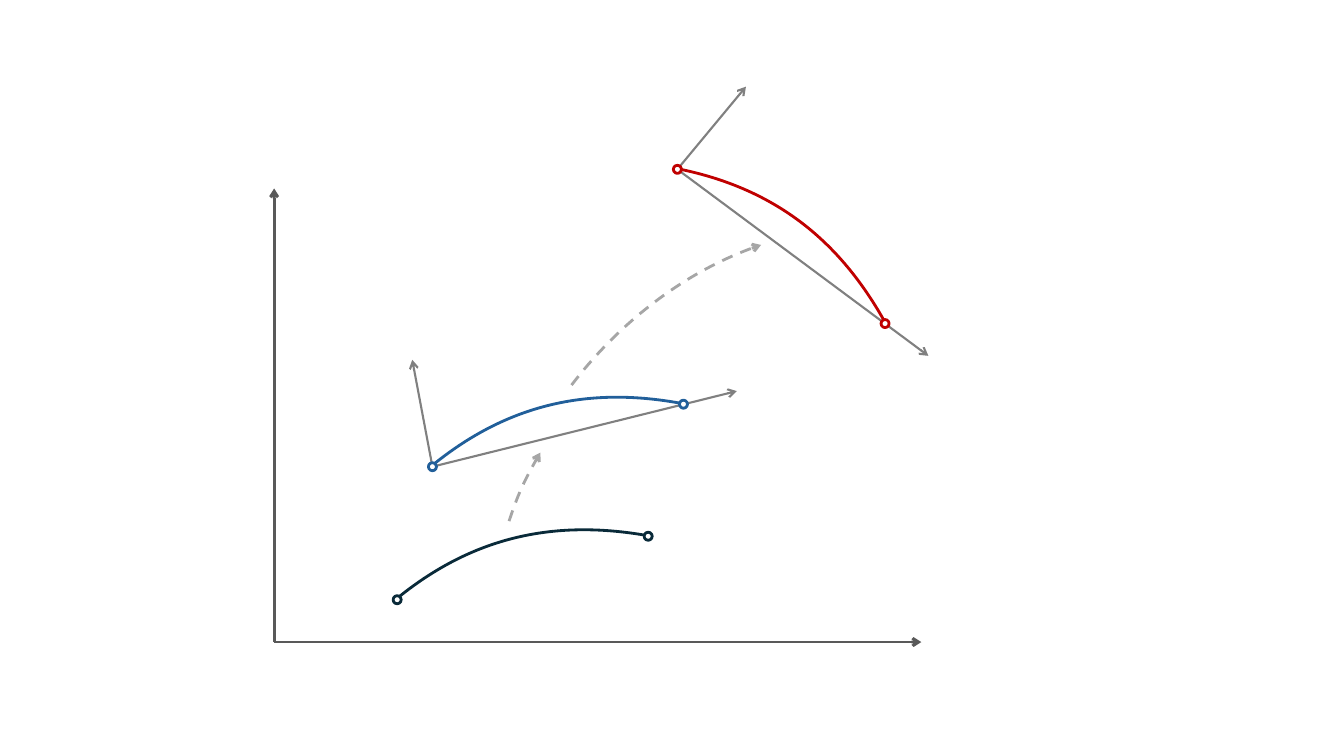
"""Draw a curve segment and its two mapped images above a pair of axes."""
from dataclasses import dataclass
from typing import NamedTuple, Optional

from lxml.etree import SubElement
from pptx import Presentation
from pptx.dml.color import RGBColor
from pptx.enum.dml import MSO_LINE
from pptx.enum.shapes import MSO_CONNECTOR, MSO_SHAPE
from pptx.oxml.ns import qn
from pptx.util import Inches, Pt


@dataclass(frozen=True)
class Theme:
    axis: str = "595959"
    frame: str = "808080"
    mapping: str = "A6A6A6"
    source: str = "092A39"
    moved: str = "215F9A"
    turned: str = "C00000"
    paper: str = "FFFFFF"
    thin: float = 1.5
    thick: float = 2


class Point(NamedTuple):
    column: float
    row: float

    @property
    def x(self) -> int:
        return round(self.column * CELL)

    @property
    def y(self) -> int:
        return round(self.row * CELL)


@dataclass(frozen=True)
class Arrow:
    start: Point
    end: Point
    color: str
    width: float


@dataclass(frozen=True)
class Curve:
    start: Point
    first_control: Point
    second_control: Point
    end: Point
    color: str
    is_mapping: bool = False

    def at(self, t: float) -> Point:
        """Return the point of the cubic at parameter t."""
        weights = ((1 - t) ** 3, 3 * t * (1 - t) ** 2, 3 * t * t * (1 - t), t ** 3)
        knots = (self.start, self.first_control, self.second_control, self.end)
        return Point(sum(w * k.column for w, k in zip(weights, knots)),
                     sum(w * k.row for w, k in zip(weights, knots)))


@dataclass(frozen=True)
class Ring:
    center: Point
    color: str


THEME = Theme()
CELL = Inches(0.1)
COLUMNS, ROWS = 133.33, 75
RING_CELLS = 0.8
STEPS = 40

ORIGIN = Point(27.2, 63.7)
MOVED_ORIGIN = Point(42.9, 46.3)
TURNED_ORIGIN = Point(67.2, 16.8)

ARROWS = (
    Arrow(TURNED_ORIGIN, Point(92.1, 35.3), THEME.frame, THEME.thin),
    Arrow(TURNED_ORIGIN, Point(74, 8.6), THEME.frame, THEME.thin),
    Arrow(MOVED_ORIGIN, Point(73.1, 38.8), THEME.frame, THEME.thin),
    Arrow(MOVED_ORIGIN, Point(40.9, 35.7), THEME.frame, THEME.thin),
    Arrow(ORIGIN, Point(91.4, 63.7), THEME.axis, THEME.thick),
    Arrow(ORIGIN, Point(27.2, 18.7), THEME.axis, THEME.thick),
)
CURVES = (
    Curve(Point(39.6, 59.2), Point(47.2, 53.1), Point(55.2, 51.6), Point(64, 53.1),
          THEME.source),
    Curve(Point(43.1, 46), Point(50.7, 39.9), Point(58.7, 38.4), Point(67.5, 40),
          THEME.moved),
    Curve(Point(67.5, 16.8), Point(77.1, 18.8), Point(83.3, 24), Point(87.7, 31.8),
          THEME.turned),
    Curve(Point(56.7, 38.2), Point(61.2, 32.3), Point(68, 26.8), Point(75.5, 24.3),
          THEME.mapping, True),
    Curve(Point(50.5, 51.7), Point(51.4, 49), Point(52.1, 47.5), Point(53.6, 44.9),
          THEME.mapping, True),
)
RINGS = (
    Ring(Point(39.4, 59.5), THEME.source),
    Ring(Point(64.3, 53.2), THEME.source),
    Ring(MOVED_ORIGIN, THEME.moved),
    Ring(Point(67.8, 40.1), THEME.moved),
    Ring(TURNED_ORIGIN, THEME.turned),
    Ring(Point(87.8, 32.1), THEME.turned),
)


def style_line(part, color: str, width: float, has_head: bool = False,
               dash: Optional[MSO_LINE] = None) -> None:
    """Set stroke, dash and arrowhead of a shape or connector."""
    part.line.color.rgb = RGBColor.from_string(color)
    part.line.width = Pt(width)
    if dash is not None:
        part.line.dash_style = dash
    if has_head:
        stroke = part._element.spPr.find(qn("a:ln"))
        SubElement(stroke, qn("a:tailEnd"), type="arrow")


def draw_arrow(figure, arrow: Arrow) -> None:
    """Draw a straight arrow."""
    connector = figure.add_connector(MSO_CONNECTOR.STRAIGHT, arrow.start.x, arrow.start.y,
                                     arrow.end.x, arrow.end.y)
    style_line(connector, arrow.color, arrow.width, has_head=True)
    SubElement(connector._element.spPr, qn("a:effectLst"))


def draw_curve(figure, curve: Curve) -> None:
    """Draw one cubic, boxed by its true extent."""
    builder = figure.build_freeform(curve.start.x, curve.start.y)
    samples = [curve.at(step / STEPS) for step in range(1, STEPS + 1)]
    builder.add_line_segments([(p.x, p.y) for p in samples], close=False)
    arc = builder.convert_to_shape()
    outline = next(arc._element.iter(qn("a:path")))
    for segment in outline.findall(qn("a:lnTo")):
        outline.remove(segment)
    cubic = SubElement(outline, qn("a:cubicBezTo"))
    for knot in (curve.first_control, curve.second_control, curve.end):
        SubElement(cubic, qn("a:pt"), x=str(knot.x - arc.left), y=str(knot.y - arc.top))
    arc.shadow.inherit = False
    arc.fill.background()
    style_line(arc, curve.color, THEME.thick, curve.is_mapping,
               MSO_LINE.DASH if curve.is_mapping else None)


def draw_ring(figure, ring: Ring) -> None:
    """Draw an end-point marker around its centre."""
    size = round(RING_CELLS * CELL)
    marker = figure.add_shape(MSO_SHAPE.OVAL, ring.center.x - size // 2,
                              ring.center.y - size // 2, size, size)
    marker.shadow.inherit = False
    marker.fill.solid()
    marker.fill.fore_color.rgb = RGBColor.from_string(THEME.paper)
    style_line(marker, ring.color, THEME.thick)


def main() -> None:
    """Build and save the slide."""
    deck = Presentation()
    deck.slide_width, deck.slide_height = round(COLUMNS * CELL), ROWS * CELL
    slide = deck.slides.add_slide(deck.slide_layouts[6])
    figure = slide.shapes.add_group_shape().shapes
    for arrow in ARROWS:
        draw_arrow(figure, arrow)
    for curve in CURVES:
        draw_curve(figure, curve)
    for ring in RINGS:
        draw_ring(figure, ring)
    deck.save("out.pptx")


if __name__ == "__main__":
    main()
